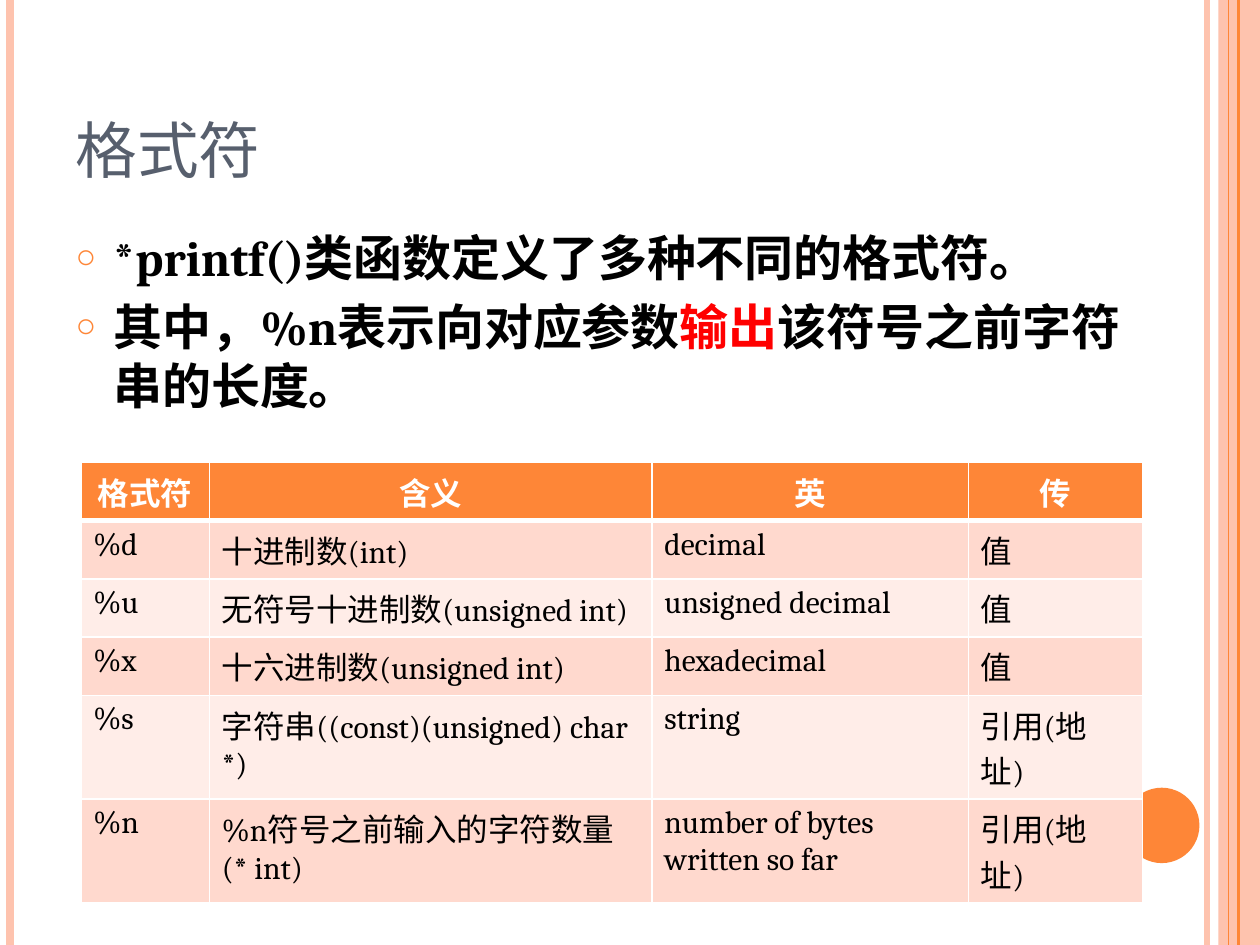
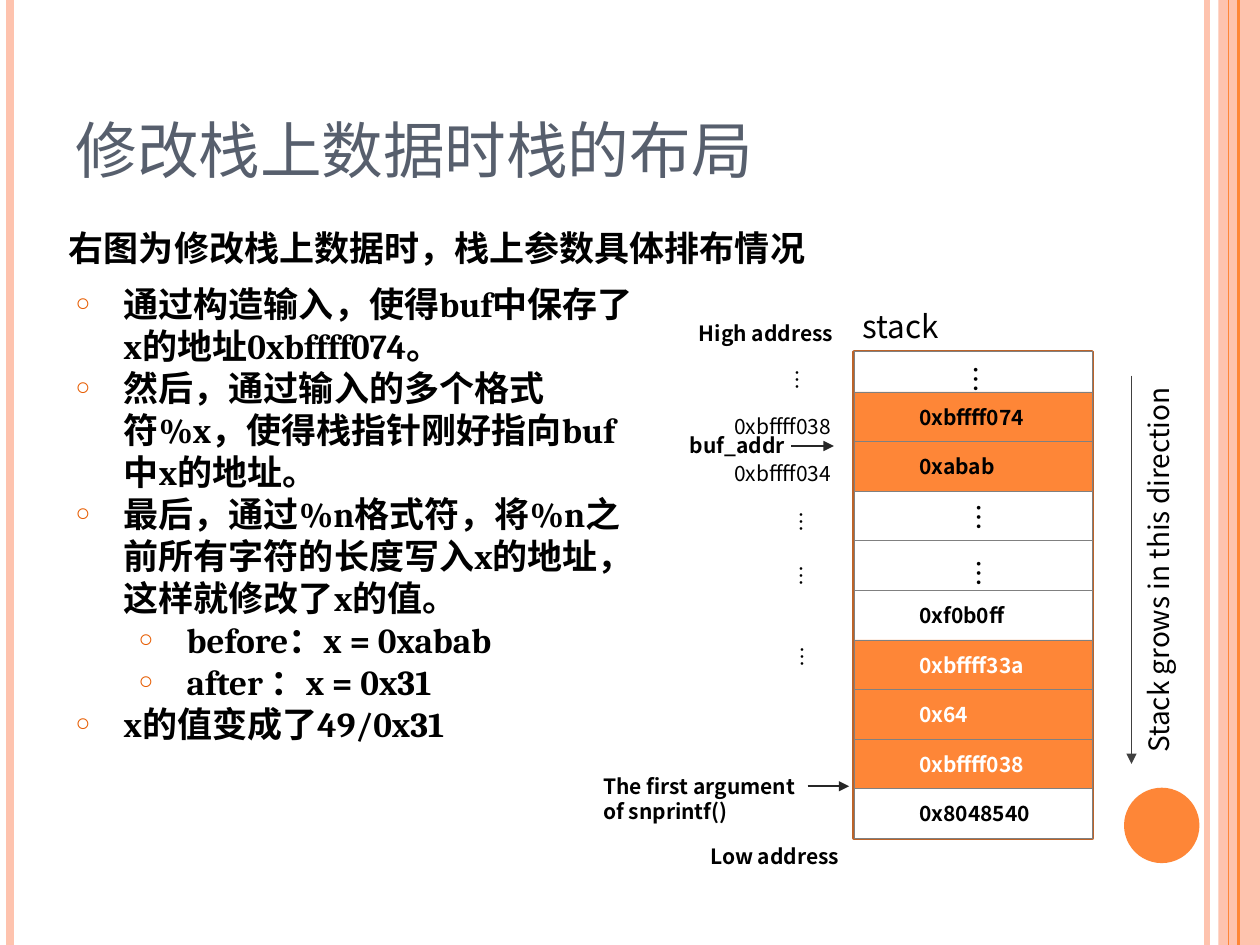
from lxml.etree import SubElement
from pptx import Presentation
from pptx.dml.color import RGBColor
from pptx.enum.shapes import MSO_CONNECTOR, MSO_SHAPE
from pptx.enum.text import MSO_ANCHOR, MSO_AUTO_SIZE, PP_ALIGN
from pptx.oxml import parse_xml
from pptx.oxml.ns import nsdecls, qn
from pptx.util import Cm, Pt

ORANGE = RGBColor(0xFE, 0x86, 0x37)
PEACH = RGBColor(0xFE, 0xC3, 0xAE)
BROWN = RGBColor(0xBC, 0x63, 0x29)
BULLET_ORANGE = RGBColor(0xE7, 0x5C, 0x01)
ROW_DARK = RGBColor(0xFF, 0xD9, 0xCE)
ROW_LIGHT = RGBColor(0xFF, 0xED, 0xE8)
SLATE = RGBColor(0x57, 0x5F, 0x6D)
GRAY = RGBColor(0x80, 0x80, 0x80)
DARK_GRAY = RGBColor(0x40, 0x40, 0x40)
CHARCOAL = RGBColor(0x26, 0x26, 0x26)
RED = RGBColor(0xFF, 0x00, 0x00)
BLACK = RGBColor(0x00, 0x00, 0x00)
WHITE = RGBColor(0xFF, 0xFF, 0xFF)

SERIF = "Cambria"
SANS = "Noto Sans CJK SC"
SLIDE_WIDTH, SLIDE_HEIGHT = 25.4, 19.05
LINE_RATIO = 1.2

FORMAT_ROWS = [
    ("格式符", "含义", "英", "传"),
    ("%d", "十进制数(int)", "decimal", "值"),
    ("%u", "无符号十进制数(unsigned int)", "unsigned decimal", "值"),
    ("%x", "十六进制数(unsigned int)", "hexadecimal", "值"),
    ("%s", "字符串((const)(unsigned) char *)", "string", "引用(地址)"),
    ("%n", "%n符号之前输入的字符数量(* int)", "number of bytes written so far", "引用(地址)"),
]
STACK_CELLS = [
    ("", WHITE, BLACK),
    ("0xbffff074", ORANGE, BLACK),
    ("0xabab", ORANGE, BLACK),
    ("", WHITE, BLACK),
    ("", WHITE, BLACK),
    ("0xf0b0ff", WHITE, BLACK),
    ("0xbffff33a", ORANGE, WHITE),
    ("0x64", ORANGE, WHITE),
    ("0xbffff038", ORANGE, WHITE),
    ("0x8048540", WHITE, BLACK),
]
ATTACK_STEPS = [
    (0, "通过构造输入，使得buf中保存了x的地址0xbffff074。"),
    (0, "然后，通过输入的多个格式符%x，使得栈指针刚好指向buf中x的地址。"),
    (0, "最后，通过%n格式符，将%n之前所有字符的长度写入x的地址，这样就修改了x的值。"),
    (1, "before：x = 0xabab"),
    (1, "after ：x = 0x31"),
    (0, "x的值变成了49/0x31"),
]


def cm_box(left, top, width, height):
    return Cm(left), Cm(top), Cm(width), Cm(height)


def style_span(span, size, color, bold=False, font=SERIF):
    span.font.name = font
    span.font.size = Pt(size)
    span.font.bold = bold
    span.font.color.rgb = color
    east_asian = SubElement(span.font._element, qn("a:ea"))
    east_asian.set("typeface", SANS)


def style_para(para, size, color, bold=False, font=SERIF):
    para.line_spacing = Pt(size * LINE_RATIO)
    for span in para.runs:
        style_span(span, size, color, bold, font)


def set_bullet(para, indent, hanging, color):
    properties = para._p.get_or_add_pPr()
    properties.set("marL", str(Cm(indent)))
    properties.set("indent", str(-Cm(hanging)))
    bullet_color = SubElement(properties, qn("a:buClr"))
    SubElement(bullet_color, qn("a:srgbClr")).set("val", str(color))
    SubElement(properties, qn("a:buSzPct")).set("val", "70000")
    SubElement(properties, qn("a:buChar")).set("char", "○")


def add_box(page, preset, box, fill, line=None, line_width=0.25):
    shape = page.shapes.add_shape(preset, *cm_box(*box))
    shape.shadow.inherit = False
    shape.fill.solid()
    shape.fill.fore_color.rgb = fill
    if line is None:
        shape.line.fill.background()
    else:
        shape.line.color.rgb = line
        shape.line.width = Pt(line_width)
    return shape


def add_line(page, start, end, color, width, arrow=False):
    line = page.shapes.add_connector(
        MSO_CONNECTOR.STRAIGHT, *(Cm(value) for value in (*start, *end)))
    line.line.color.rgb = color
    line.line.width = Pt(width)
    if arrow:
        SubElement(line.line._get_or_add_ln(), qn("a:tailEnd")).set("type", "triangle")
    SubElement(line._element.spPr, qn("a:effectLst"))


def add_label(page, box, text, size=12, bold=False, font=SANS, vertical=None):
    label = page.shapes.add_textbox(*cm_box(*box))
    frame = label.text_frame
    frame.word_wrap = True
    frame.text = text
    if vertical:
        frame._txBody.bodyPr.set("vert", vertical)
    for para in frame.paragraphs:
        style_para(para, size, BLACK, bold, font)


def place(holder, box):
    holder.left, holder.top, holder.width, holder.height = cm_box(*box)
    holder.text_frame.word_wrap = True
    holder.text_frame.auto_size = MSO_AUTO_SIZE.NONE
    return holder.text_frame


def add_side_bands(page):
    add_box(page, MSO_SHAPE.RECTANGLE, (24.56, 0, 0.84, SLIDE_HEIGHT), PEACH)
    for x, color, width in ((24.33, PEACH, 3), (0.2, PEACH, 4.5),
                            (24.97, ORANGE, 1.5), (24.77, ORANGE, 0.75)):
        add_line(page, (x, 0), (x, SLIDE_HEIGHT), color, width)
    add_box(page, MSO_SHAPE.OVAL, (22.66, 15.88, 1.52, 1.52), ORANGE)


def add_page(deck, title):
    page = deck.slides.add_slide(deck.slide_layouts[1])
    add_side_bands(page)
    frame = place(page.shapes.title, (1.27, 0.76, 20.75, 3.18))
    frame.vertical_anchor = MSO_ANCHOR.BOTTOM
    frame.text = title
    para = frame.paragraphs[0]
    para.alignment = PP_ALIGN.LEFT
    style_span(para.runs[0], 44, SLATE)
    para.runs[0].font._element.set("cap", "small")
    return page


def add_format_notes(page, box):
    frame = place(page.placeholders[1], box)
    frame.text = "*printf()类函数定义了多种不同的格式符。"
    detail = frame.add_paragraph()
    for text in ("其中，%n表示向对应参数", "输出", "该符号之前字符串的长度。"):
        detail.add_run().text = text
    for para in frame.paragraphs:
        para.space_before = Pt(6)
        style_para(para, 28, BLACK, bold=True)
        set_bullet(para, 0.76, 0.76, ORANGE)
    detail.runs[1].font.color.rgb = RED


def set_cell_borders(cell, bottom_width):
    properties = cell._tc.get_or_add_tcPr()
    widths = {"lnL": 1, "lnR": 1, "lnT": 1, "lnB": bottom_width}
    for position, (side, width) in enumerate(widths.items()):
        properties.insert(position, parse_xml(
            f'<a:{side} {nsdecls("a")} w="{Pt(width)}"><a:solidFill>'
            f'<a:srgbClr val="{WHITE}"/></a:solidFill></a:{side}>'))


def add_format_table(page, left, top, column_widths, row_height):
    box = (left, top, sum(column_widths), row_height * len(FORMAT_ROWS))
    table = page.shapes.add_table(
        len(FORMAT_ROWS), len(column_widths), *cm_box(*box)).table
    for column, width in zip(table.columns, column_widths):
        column.width = Cm(width)
    for row_number, texts in enumerate(FORMAT_ROWS):
        header = row_number == 0
        fill = ORANGE if header else ROW_DARK if row_number % 2 else ROW_LIGHT
        for column_number, text in enumerate(texts):
            cell = table.cell(row_number, column_number)
            cell.fill.solid()
            cell.fill.fore_color.rgb = fill
            set_cell_borders(cell, 3 if header else 1)
            cell.text_frame.text = text
            para = cell.text_frame.paragraphs[0]
            para.alignment = PP_ALIGN.CENTER if header else PP_ALIGN.LEFT
            style_span(para.runs[0], 18, WHITE if header else BLACK, header)


def add_attack_steps(page, box):
    frame = place(page.placeholders[1], box)
    frame.text = "\n".join(text for _, text in ATTACK_STEPS)
    for para, (level, _) in zip(frame.paragraphs, ATTACK_STEPS):
        para.level = level
        para.space_before = Pt(0)
        style_para(para, 20, BLACK, bold=True)
        set_bullet(para, 0.97 + 1.27 * level, 0.97, BULLET_ORANGE)


def add_stack_cells(page, left, top, width, first_height, cell_height):
    height = first_height + cell_height * (len(STACK_CELLS) - 1)
    add_box(page, MSO_SHAPE.RECTANGLE, (left, top, width, height), ORANGE, BROWN, 2)
    for index, (text, fill, color) in enumerate(STACK_CELLS):
        cell_top = top + (first_height + (index - 1) * cell_height if index else 0)
        cell = add_box(page, MSO_SHAPE.RECTANGLE,
                       (left, cell_top, width, cell_height if index else first_height),
                       fill, GRAY)
        if text:
            frame = cell.text_frame
            frame.margin_left = Cm(1.31)
            frame.margin_top = frame.margin_bottom = 0
            frame.vertical_anchor = MSO_ANCHOR.MIDDLE
            frame.text = text
            frame.paragraphs[0].alignment = PP_ALIGN.LEFT
            style_para(frame.paragraphs[0], 12, color, bold=True, font=SANS)


def add_stack_diagram(page, left, top):
    def label(x, y, width, height, text, **style):
        add_label(page, (left + x, top + y, width, height), text, **style)

    def arrow(start, end, color):
        add_line(page, (left + start[0], top + start[1]),
                 (left + end[0], top + end[1]), color, 1, arrow=True)

    add_stack_cells(page, left, top, 4.8, 0.81, 1)
    label(-0.08, -1.02, 2.31, 1.02, "stack", size=18)
    label(5.66, -0.71, 1.19, 9.04, "Stack grows in this direction",
          size=16, vertical="vert270")
    arrow((5.59, 0.48), (5.59, 8.31), DARK_GRAY)
    label(-3.38, -0.76, 4.22, 0.76, "High address", bold=True)
    label(-3.15, 9.8, 4.22, 0.76, "Low address", bold=True)
    label(-5.31, 8.38, 5.82, 1.27, "The first argument\nof snprintf()", bold=True)
    arrow((-0.94, 8.76), (-0.1, 8.76), CHARCOAL)
    label(-3.56, 1.5, 5.82, 0.76, "buf_addr", bold=True)
    arrow((-1.27, 1.9), (-0.41, 1.9), CHARCOAL)
    for y, address in ((1.12, "0xbffff038"), (2.06, "0xbffff034")):
        label(-2.67, y, 2.95, 0.76, address)
    for x, y in ((1.75, 0.03), (1.8, 2.82), (1.8, 3.94)):
        label(x, y, 1.19, 0.99, "…", size=16, vertical="eaVert")
    for x, y in ((-1.78, 0.1), (-1.7, 2.97), (-1.7, 4.06), (-1.68, 5.69)):
        label(x, y, 1.02, 0.76, "…", vertical="eaVert")


def build_format_page(deck):
    page = add_page(deck, "格式符")
    add_format_notes(page, (1.27, 4.45, 21.82, 5.49))
    add_format_table(page, 1.63, 9.32, (2.59, 8.92, 6.38, 3.51), 1.04)


def build_stack_page(deck):
    page = add_page(deck, "修改栈上数据时栈的布局")
    add_label(page, (1.14, 4.45, 15.72, 1.12),
              "右图为修改栈上数据时，栈上参数具体排布情况", size=20, bold=True, font=SERIF)
    add_attack_steps(page, (1.27, 5.56, 11.81, 9.65))
    add_stack_diagram(page, 17.22, 7.09)


def main():
    deck = Presentation()
    deck.slide_width, deck.slide_height = Cm(SLIDE_WIDTH), Cm(SLIDE_HEIGHT)
    build_format_page(deck)
    build_stack_page(deck)
    deck.save("out.pptx")


if __name__ == "__main__":
    main()
